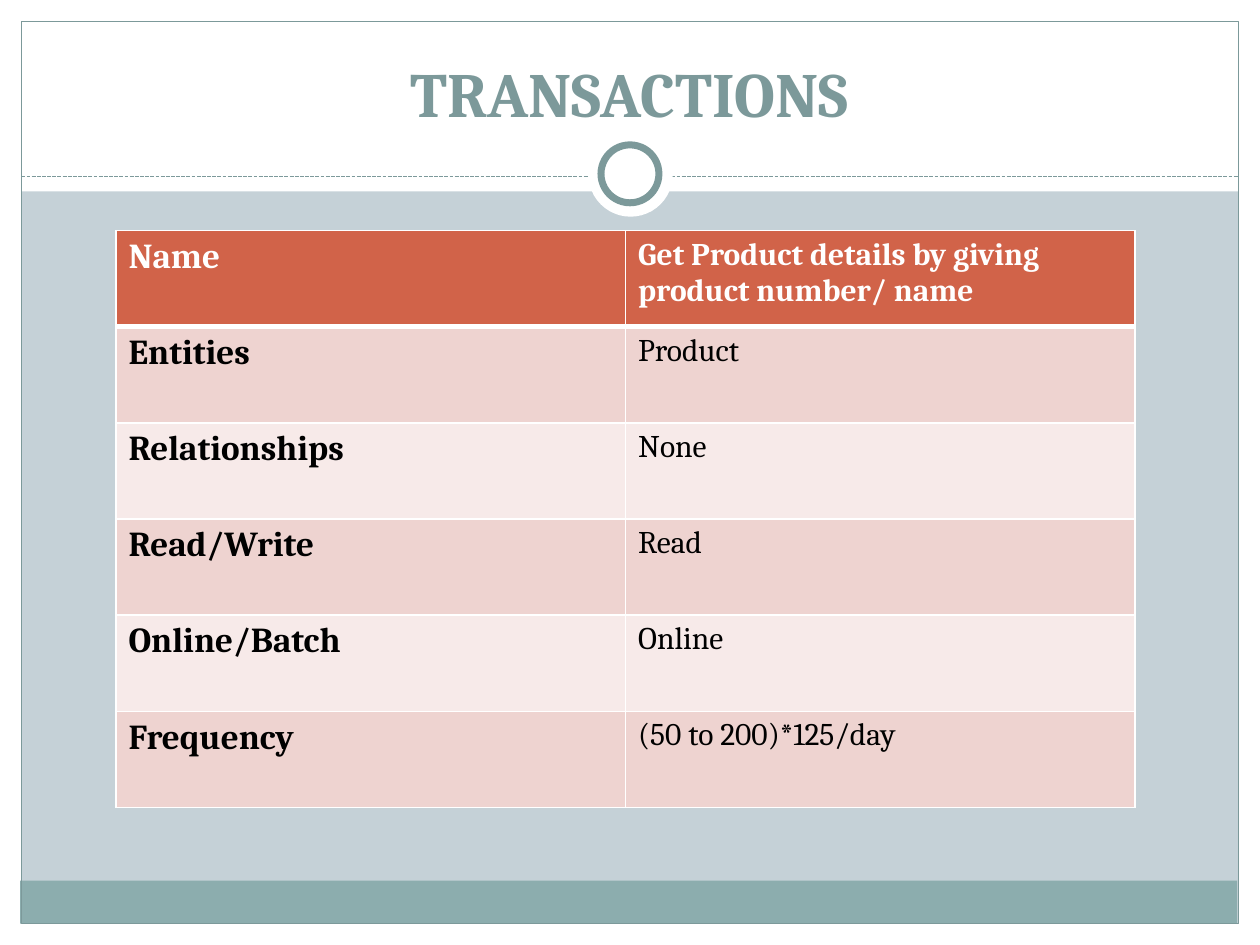
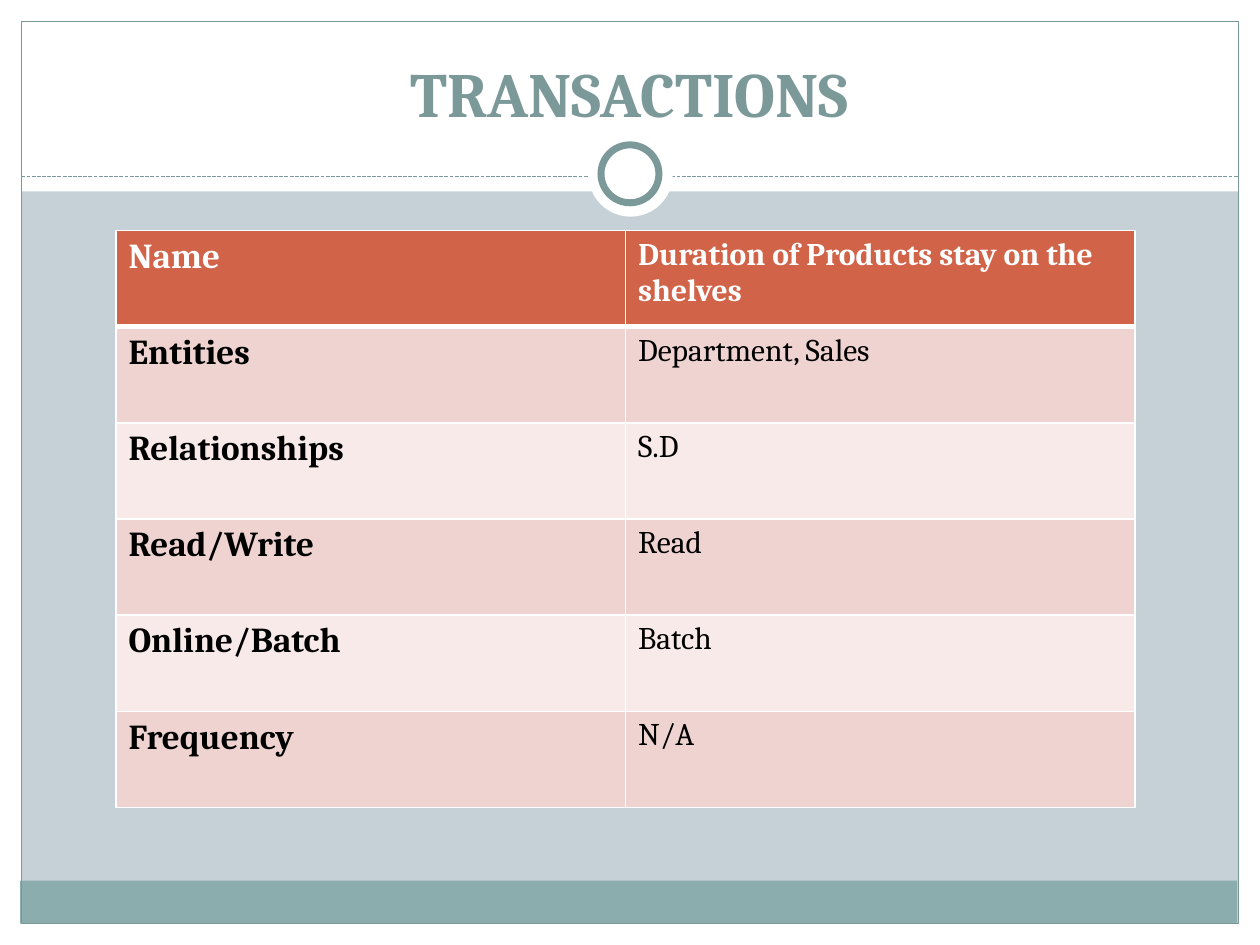
"""Builds two transaction slides, each with a framed title and a table of properties."""
from lxml import etree
from pptx import Presentation
from pptx import util as u
from pptx.dml.color import RGBColor
from pptx.enum import dml, shapes, text
from pptx.oxml import parse_xml
from pptx.oxml.ns import nsdecls, qn

COLORS = {
    "paper": "C5D1D7", "white": "FFFFFF", "black": "000000", "teal": "7C999A",
    "footer": "8CADAE", "header": "D16349", "odd": "EED3D0", "even": "F7EAE9",
}
FONT = "Cambria"
LABELS = ["Name", "Entities", "Relationships", "Read/Write", "Online/Batch", "Frequency"]
TRANSACTIONS = [
    ["Get Product details by giving product number/ name", "Product", "None", "Read",
     "Online", "(50 to 200)*125/day"],
    ["Duration of Products stay on the shelves", "Department, Sales", "S.D", "Read",
     "Batch", "N/A"],
]


def rgb(name):
    return RGBColor.from_string(COLORS[name])


class Deck:
    def __init__(self):
        self.prs = Presentation()
        self.prs.slide_width, self.prs.slide_height = u.Inches(10), u.Inches(7.5)
        self.s = None

    def new_slide(self):
        self.s = self.prs.slides.add_slide(self.prs.slide_layouts[6])
        fill = self.s.background.fill
        fill.solid()
        fill.fore_color.rgb = rgb("paper")

    def shape(self, kind, box, fill=None, line=None, width=0.75):
        sp = self.s.shapes.add_shape(kind, *map(u.Inches, box))
        sp.shadow.inherit = False
        if fill:
            sp.fill.solid()
            sp.fill.fore_color.rgb = rgb(fill)
        else:
            sp.fill.background()
        if line:
            sp.line.color.rgb = rgb(line)
            sp.line.width = u.Pt(width)
        else:
            sp.line.fill.background()

    def dashed_rule(self, x1, x2, y):
        cx = self.s.shapes.add_connector(shapes.MSO_CONNECTOR.STRAIGHT,
                                         *map(u.Inches, (x1, y, x2, y)))
        cx.line.color.rgb = rgb("teal")
        cx.line.width = u.Pt(0.75)
        cx.line.dash_style = dml.MSO_LINE.SQUARE_DOT
        etree.SubElement(cx._element.spPr, qn("a:effectLst"))

    def run(self, p, content, size, color, bold):
        r = p.add_run()
        r.text = content
        r.font.name, r.font.size, r.font.bold = FONT, u.Pt(size), bold
        r.font.color.rgb = rgb(color)

    def frame(self):
        rect, oval = shapes.MSO_SHAPE.RECTANGLE, shapes.MSO_SHAPE.OVAL
        margins = [(0, 7.33, 10, 0.17), (0, 0, 10, 1.52), (0, 0, 0.17, 7.5), (9.83, 0, 0.17, 7.5)]
        for box in margins:
            self.shape(rect, box, "white")
        self.shape(rect, (0.16, 6.99, 9.66, 0.34), "footer")
        self.shape(rect, (0.17, 0.17, 9.66, 7.16), line="teal")
        self.dashed_rule(0.17, 9.83, 1.4)
        self.shape(oval, (4.67, 1.05, 0.67, 0.67), "white")
        self.shape(oval, (4.77, 1.15, 0.46, 0.46), "white", "teal", 4)

    def title(self, content):
        tf = self.s.shapes.add_textbox(*map(u.Inches, (0.33, 0.25, 9.33, 0.83))).text_frame
        tf.word_wrap = True
        tf.vertical_anchor = text.MSO_ANCHOR.BOTTOM
        p = tf.paragraphs[0]
        p.alignment = text.PP_ALIGN.CENTER
        self.run(p, content, 36, "teal", True)

    def cell(self, cell, content, row, col):
        header = row == 0
        cell.fill.solid()
        cell.fill.fore_color.rgb = rgb("header" if header else "odd" if row % 2 else "even")
        self.run(cell.text_frame.paragraphs[0], content, 18 if col else 20,
                 "white" if header else "black", header or col == 0)
        widths = {"L": 1, "R": 1, "T": 3 if row == 1 else 1, "B": 3 if header else 1}
        for i, (side, width) in enumerate(widths.items()):
            border = parse_xml(
                f'<a:ln{side} {nsdecls("a")} w="{u.Pt(width)}"><a:solidFill>'
                f'<a:srgbClr val="{COLORS["white"]}"/></a:solidFill></a:ln{side}>')
            cell._tc.get_or_add_tcPr().insert(i, border)

    def table(self, rows):
        box = map(u.Inches, (0.92, 1.83, 8.09, 4.58))
        table = self.s.shapes.add_table(len(rows), 2, *box).table
        for i, row in enumerate(rows):
            for j, content in enumerate(row):
                self.cell(table.cell(i, j), content, i, j)


def main():
    deck = Deck()
    for values in TRANSACTIONS:
        deck.new_slide()
        deck.frame()
        deck.title("TRANSACTIONS")
        deck.table(list(zip(LABELS, values)))
    deck.prs.save("out.pptx")


if __name__ == "__main__":
    main()
